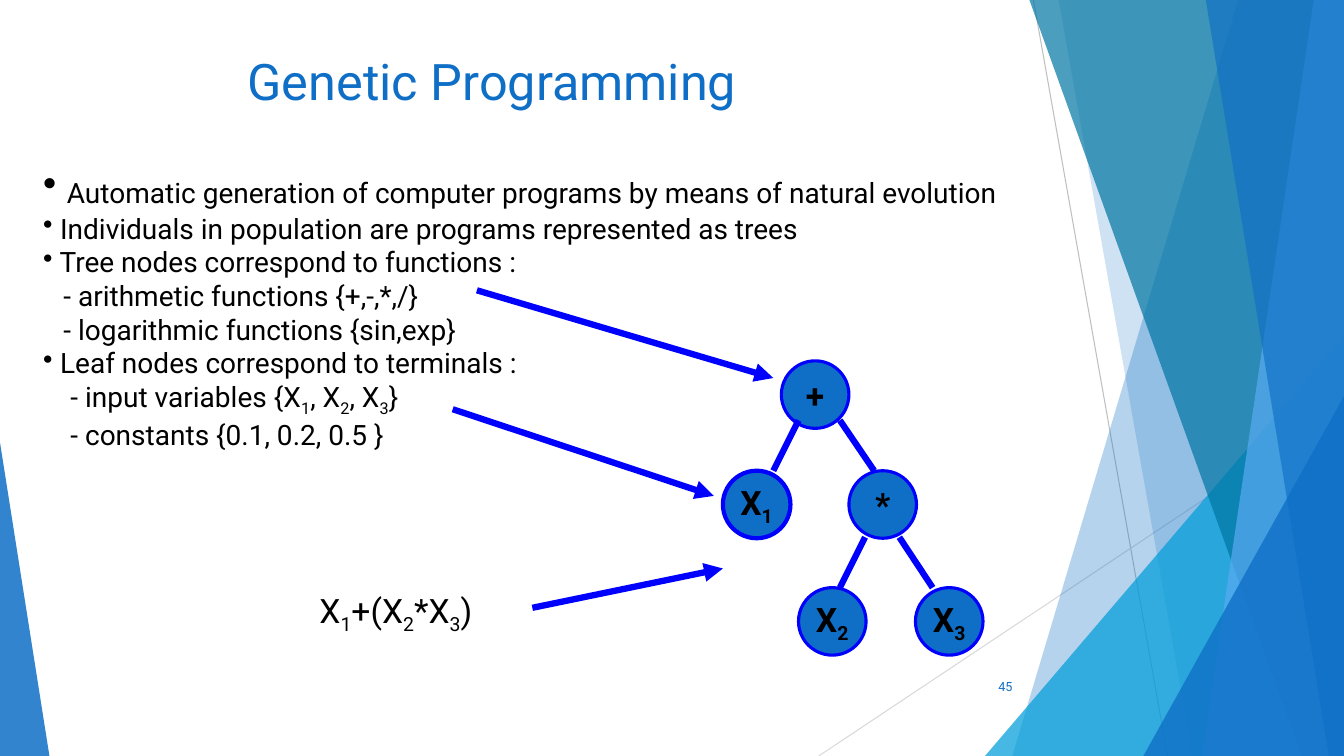
from lxml import etree
from pptx import Presentation
from pptx.dml.color import RGBColor
from pptx.enum.shapes import MSO_CONNECTOR, MSO_SHAPE
from pptx.enum.text import MSO_ANCHOR, PP_ALIGN
from pptx.oxml.ns import qn
from pptx.util import Pt

PX = 9144
WIDTH, HEIGHT = 1333, 750
FONT = "Roboto"
BLACK = RGBColor(0x00, 0x00, 0x00)
BLUE = RGBColor(0x0F, 0x6F, 0xC6)
CYAN = RGBColor(0x00, 0x9D, 0xD9)
TEAL = RGBColor(0x00, 0x76, 0xA3)
SKY = RGBColor(0x59, 0xAA, 0xF2)
INK = RGBColor(0x00, 0x00, 0xFF)
GREY = RGBColor(0xBF, 0xBF, 0xBF)
PALE = RGBColor(0xD9, 0xD9, 0xD9)
STRAIGHT = MSO_CONNECTOR.STRAIGHT
OVAL, TRIANGLE = MSO_SHAPE.OVAL, MSO_SHAPE.ISOSCELES_TRIANGLE
TOP, MIDDLE = MSO_ANCHOR.TOP, MSO_ANCHOR.MIDDLE
LEFT, CENTER, RIGHT = PP_ALIGN.LEFT, PP_ALIGN.CENTER, PP_ALIGN.RIGHT

NODE = 67
BANDS_BACK = [(1228, 1004, BLUE, 30), (1050, 1183, BLUE, 20)]
BANDS_FRONT = [(1021, 1291, TEAL, 70), (1303, 1192, SKY, 70), (1196, 1318, BLUE, 65)]
POINTS = [
    ("Automatic generation of computer programs by means of natural evolution", True, 0),
    ("Individuals in population are programs represented as trees", True, 0),
    ("Tree nodes correspond to functions :", True, 0),
    ("- arithmetic functions {+,-,*,/}", False, 20),
    ("- logarithmic functions {sin,exp}", False, 20),
    ("Leaf nodes correspond to terminals :", True, 0),
    ("- input variables {X_1, X_2, X_3}", False, 27),
    ("- constants {0.1, 0.2, 0.5 }", False, 27),
]
NODES = [("+", 775, 358, 2.25), ("*", 842, 467, 2.25), ("X_3", 908, 583, 2.25),
         ("X_2", 792, 583, 2.25), ("X_1", 717, 467, 3)]
BRANCHES = [(792, 417, 767, 467), (833, 417, 867, 467),
            (892, 533, 925, 583), (858, 533, 833, 583)]
ARROWS = [(473, 288, 767, 375), (449, 406, 708, 492), (528, 603, 717, 564)]


class Deck:
    def __init__(self):
        self.prs = Presentation()
        self.prs.slide_width, self.prs.slide_height = WIDTH * PX, HEIGHT * PX
        self.s = self.prs.slides.add_slide(self.prs.slide_layouts[6])

    def paint(self, sp, color, opacity=100):
        sp.shadow.inherit = False
        sp.fill.solid()
        sp.fill.fore_color.rgb = color
        sp.line.fill.background()
        if opacity < 100:
            clr = sp._element.spPr.find(qn("a:solidFill"))[0]
            etree.SubElement(clr, qn("a:alpha")).set("val", str(opacity * 1000))

    def band(self, top_x, bottom_x, color, opacity):
        fb = self.s.shapes.build_freeform(top_x, 0, scale=PX)
        fb.add_line_segments([(WIDTH, 0), (WIDTH, HEIGHT), (bottom_x, HEIGHT)])
        self.paint(fb.convert_to_shape(), color, opacity)

    def shape(self, kind, x, y, w, h, color, opacity=100):
        sp = self.s.shapes.add_shape(kind, x * PX, y * PX, w * PX, h * PX)
        self.paint(sp, color, opacity)
        return sp

    def triangle(self, x, y, apex, color, opacity, right=WIDTH):
        sp = self.shape(TRIANGLE, x, y, right - x, HEIGHT - y, color, opacity)
        sp.adjustments[0] = apex

    def line(self, x1, y1, x2, y2, color=INK, width=4.5, arrow=False):
        c = self.s.shapes.add_connector(STRAIGHT, x1 * PX, y1 * PX, x2 * PX, y2 * PX)
        c.line.color.rgb = color
        c.line.width = Pt(width)
        if arrow:
            etree.SubElement(c.line._ln, qn("a:tailEnd")).set("type", "triangle")
        etree.SubElement(c._element.spPr, qn("a:effectLst"))

    def run(self, p, text, size, color=BLACK, bold=False, sub=False):
        r = p.add_run()
        r.text = text
        r.font.name, r.font.size, r.font.bold = FONT, Pt(size), bold
        r.font.color.rgb = color
        if sub:
            r._r.get_or_add_rPr().set("baseline", "-25000")

    def runs(self, p, text, size, color=BLACK, bold=False):
        first, *rest = text.split("_")
        self.run(p, first, size, color, bold)
        for part in rest:
            self.run(p, part[0], size, color, bold, sub=True)
            if part[1:]:
                self.run(p, part[1:], size, color, bold)

    def box(self, x, y, w, h, anchor=TOP):
        tf = self.s.shapes.add_textbox(x * PX, y * PX, w * PX, h * PX).text_frame
        tf.word_wrap = True
        tf.vertical_anchor = anchor
        return tf

    def label(self, text, x, y, w, h, size, color, align=LEFT, anchor=MIDDLE):
        p = self.box(x, y, w, h, anchor).paragraphs[0]
        p.alignment = align
        self.runs(p, text, size, color)

    def bullets(self, points, x, y, w, h):
        tf = self.box(x, y, w, h)
        for i, (text, bullet, indent) in enumerate(points):
            p = tf.add_paragraph() if i else tf.paragraphs[0]
            pPr = p._p.get_or_add_pPr()
            pPr.set("marL", str(indent * PX))
            pPr.set("indent", "0")
            if bullet:
                etree.SubElement(pPr, qn("a:buChar")).set("char", "•")
                self.run(p, " ", 20 if i else 28)
            self.runs(p, text, 20)

    def node(self, text, x, y, width):
        sp = self.shape(OVAL, x, y, NODE, NODE, BLUE)
        sp.line.color.rgb = INK
        sp.line.width = Pt(width)
        tf = sp.text_frame
        tf.word_wrap = False
        tf.vertical_anchor = MIDDLE
        p = tf.paragraphs[0]
        p.alignment = CENTER
        self.runs(p, text, 24, bold=True)


def main():
    d = Deck()
    d.line(1025, 0, 1158, HEIGHT, GREY, 0.75)
    d.line(WIDTH, 403, 812, HEIGHT, PALE, 0.75)
    for band in BANDS_BACK:
        d.band(*band)
    d.triangle(977, 333, 1, CYAN, 72)
    for band in BANDS_FRONT:
        d.band(*band)
    d.triangle(1134, 393, 1, BLUE, 80)
    d.triangle(0, 439, 0, BLUE, 85, right=49)

    d.bullets(POINTS, 33, 158, 995, 326)
    d.label("Genetic Programming", 64, 58, 848, 43, 36, BLUE, CENTER)
    for node in NODES:
        d.node(*node)
    for branch in BRANCHES:
        d.line(*branch)
    for arrow in ARROWS:
        d.line(*arrow, arrow=True)
    d.label("X_1+(X_2*X_3)", 307, 580, 193, 50, 24, BLACK, anchor=TOP)
    d.label("45", 939, 661, 75, 40, 9, BLUE, RIGHT)
    d.prs.save("out.pptx")


if __name__ == "__main__":
    main()
